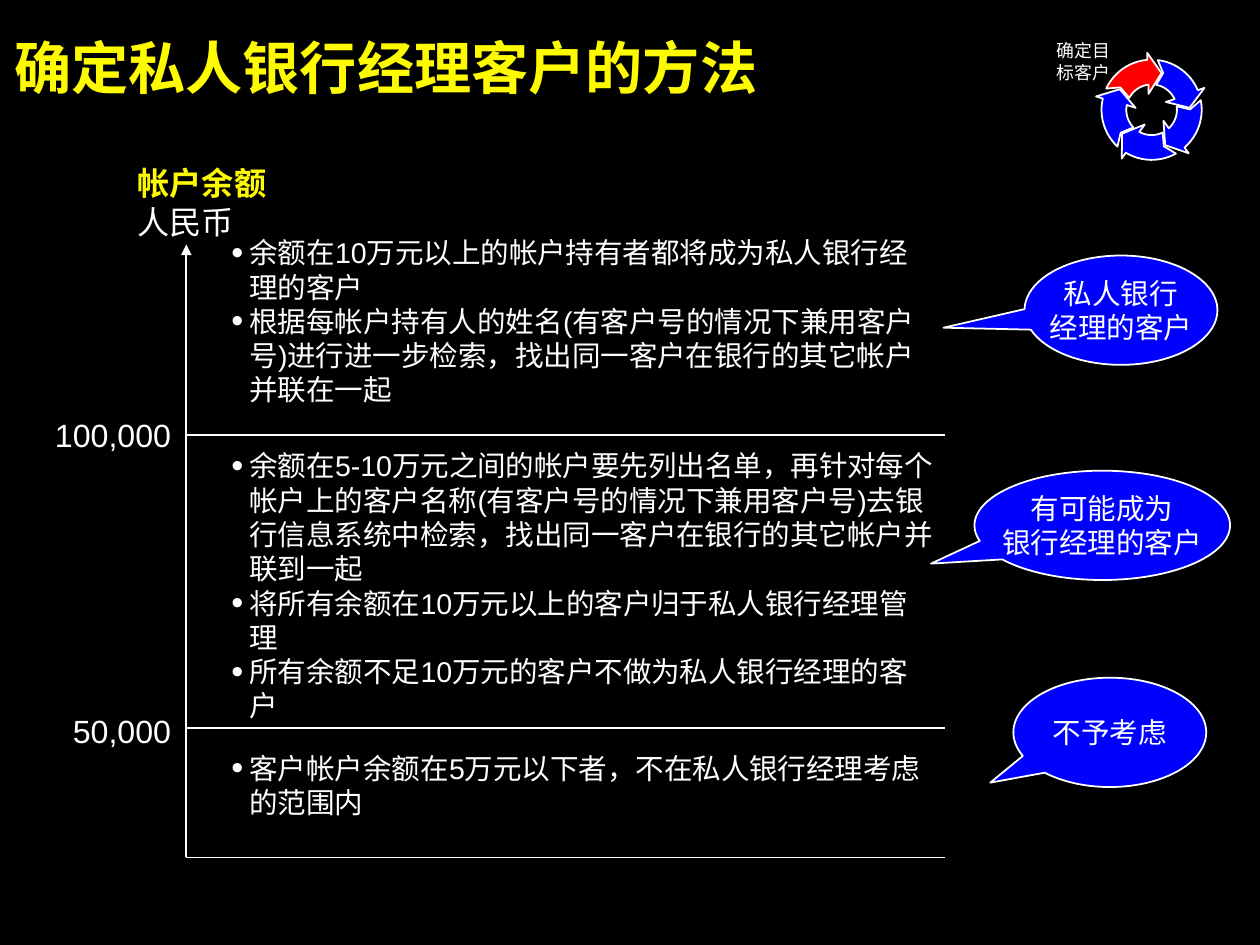
from math import cos, radians, sin

from lxml import etree
from pptx import Presentation
from pptx.dml.color import RGBColor
from pptx.enum.shapes import MSO_CONNECTOR, MSO_SHAPE
from pptx.enum.text import MSO_ANCHOR as ANCHOR, PP_ALIGN as ALIGN
from pptx.oxml.ns import qn
from pptx.util import Cm, Pt

BLACK = RGBColor(0x00, 0x00, 0x00)
WHITE = RGBColor(0xFF, 0xFF, 0xFF)
YELLOW = RGBColor(0xFE, 0xFB, 0x00)
BLUE = RGBColor(0x00, 0x00, 0xFE)
RED = RGBColor(0xFF, 0x00, 0x00)

AXIS_X, AXIS_TOP, AXIS_BOTTOM, RULE_RIGHT = 3.68, 4.83, 16.94, 18.67
RULES = [8.59, 14.38, AXIS_BOTTOM]
BALANCES = [("100,000", 8.2), ("50,000", 14.05)]
BULLETS = [
    (4.65, 13.74, 3.38, [
        "余额在10万元以上的帐户持有者都将成为私人银行经理的客户",
        "根据每帐户持有人的姓名(有客户号的情况下兼用客户号)进行进一步检索，找出同一客户在银行的其它帐户并联在一起",
    ]),
    (8.86, 13.94, 5.41, [
        "余额在5-10万元之间的帐户要先列出名单，再针对每个帐户上的客户名称(有客户号的情况下兼用客户号)去银行信息系统中检索，找出同一客户在银行的其它帐户并联到一起",
        "将所有余额在10万元以上的客户归于私人银行经理管理",
        "所有余额不足10万元的客户不做为私人银行经理的客户",
    ]),
    (14.83, 13.82, 1.35, [
        "客户帐户余额在5万元以下者，不在私人银行经理考虑的范围内",
    ]),
]
CALLOUTS = [
    (20.24, 5.05, 3.81, (-0.92, 0.16), ["私人银行", "经理的客户"]),
    (19.25, 9.3, 5.05, (-0.67, 0.35), ["有可能成为", "银行经理的客户"]),
    (20.02, 13.39, 3.81, (-0.62, 0.46), ["不予考虑"]),
]
RING_X, RING_Y = 22.75, 2.17
RING_OUTER, RING_INNER = 0.99, 0.5
RING_PARTS = 5


def add_bullet(p):
    pPr = p._p.get_or_add_pPr()
    pPr.set("marL", str(Cm(0.38)))
    pPr.set("indent", str(-Cm(0.36)))
    color = etree.SubElement(pPr, qn("a:buClr"))
    etree.SubElement(color, qn("a:srgbClr"), val=str(WHITE))
    etree.SubElement(pPr, qn("a:buSzPct"), val="120000")
    etree.SubElement(pPr, qn("a:buFont"), typeface="Arial")
    etree.SubElement(pPr, qn("a:buChar"), char="•")


def write(tf, lines, size, color=WHITE, bold=False, align=ALIGN.LEFT, bullet=False):
    for i, text in enumerate(lines):
        p = tf.paragraphs[0] if i == 0 else tf.add_paragraph()
        p.alignment = align
        if bullet:
            add_bullet(p)
        r = p.add_run()
        r.text = text
        r.font.name = "Arial"
        r.font.size = Pt(size)
        r.font.bold = bold
        r.font.color.rgb = color


def add_text(s, x, y, w, h, lines, size, anchor=ANCHOR.TOP, **style):
    tf = s.shapes.add_textbox(Cm(x), Cm(y), Cm(w), Cm(h)).text_frame
    tf.margin_left = tf.margin_right = tf.margin_top = tf.margin_bottom = 0
    tf.word_wrap = True
    tf.vertical_anchor = anchor
    write(tf, lines, size, **style)
    return tf


def add_heading(s):
    tf = add_text(s, 2.72, 3.23, 2.9, 1.52, ["帐户余额", "人民币"], 18)
    font = tf.paragraphs[0].runs[0].font
    font.bold = True
    font.color.rgb = YELLOW


def add_line(s, x1, y1, x2, y2, arrow=False):
    line = s.shapes.add_connector(MSO_CONNECTOR.STRAIGHT, Cm(x1), Cm(y1), Cm(x2), Cm(y2))
    line.line.color.rgb = WHITE
    line.line.width = Pt(1)
    if arrow:
        etree.SubElement(line.line._get_or_add_ln(), qn("a:tailEnd"), type="triangle")
    etree.SubElement(line._element.spPr, qn("a:effectLst"))


def paint(sp, color):
    sp.shadow.inherit = False
    sp.fill.solid()
    sp.fill.fore_color.rgb = color
    sp.line.color.rgb = WHITE
    sp.line.width = Pt(1)


def add_callout(s, x, y, w, tip, lines):
    sp = s.shapes.add_shape(MSO_SHAPE.OVAL_CALLOUT, Cm(x), Cm(y), Cm(w), Cm(2.16))
    sp.adjustments[0], sp.adjustments[1] = tip
    paint(sp, BLUE)
    tf = sp.text_frame
    tf.word_wrap = False
    tf.vertical_anchor = ANCHOR.MIDDLE
    write(tf, lines, 16, align=ALIGN.CENTER)


def ring_point(radius, angle):
    a = radians(angle)
    return Cm(RING_X + radius * cos(a)), Cm(RING_Y + radius * sin(a))


def add_ring_arrow(s, turn, color):
    inner = [(RING_INNER, a) for a in range(208, 264, 5)]
    head = [(0.32, 259), (0.75, 285), (1.13, 265.5)]
    outer = [(RING_OUTER, a) for a in range(265, 204, -5)]
    notch = [(0.76, 215.5)]
    points = [ring_point(radius, a + turn) for radius, a in inner + head + outer + notch]
    builder = s.shapes.build_freeform(*points[0])
    builder.add_line_segments(points[1:], close=True)
    paint(builder.convert_to_shape(), color)


def main():
    prs = Presentation()
    prs.slide_width, prs.slide_height = Cm(24.89), Cm(18.67)
    s = prs.slides.add_slide(prs.slide_layouts[6])
    s.background.fill.solid()
    s.background.fill.fore_color.rgb = BLACK

    add_text(s, 0.28, 0.64, 24.16, 1.35, ["确定私人银行经理客户的方法"], 32,
             color=YELLOW, bold=True)
    add_heading(s)
    for y, w, h, lines in BULLETS:
        add_text(s, 4.55, y, w, h, lines, 16, bullet=True)

    add_line(s, AXIS_X, AXIS_BOTTOM, AXIS_X, AXIS_TOP, arrow=True)
    for y in RULES:
        add_line(s, AXIS_X, y, RULE_RIGHT, y)
    for balance, y in BALANCES:
        add_text(s, 0.48, y, 2.9, 0.76, [balance], 18, align=ALIGN.RIGHT)

    for i in range(RING_PARTS):
        add_ring_arrow(s, i * 360 / RING_PARTS, BLUE if i else RED)
    add_text(s, 20.88, 0.79, 1.24, 0.84, ["确定目标客户"], 10, anchor=ANCHOR.MIDDLE)
    for callout in CALLOUTS:
        add_callout(s, *callout)

    prs.save("out.pptx")


if __name__ == "__main__":
    main()
